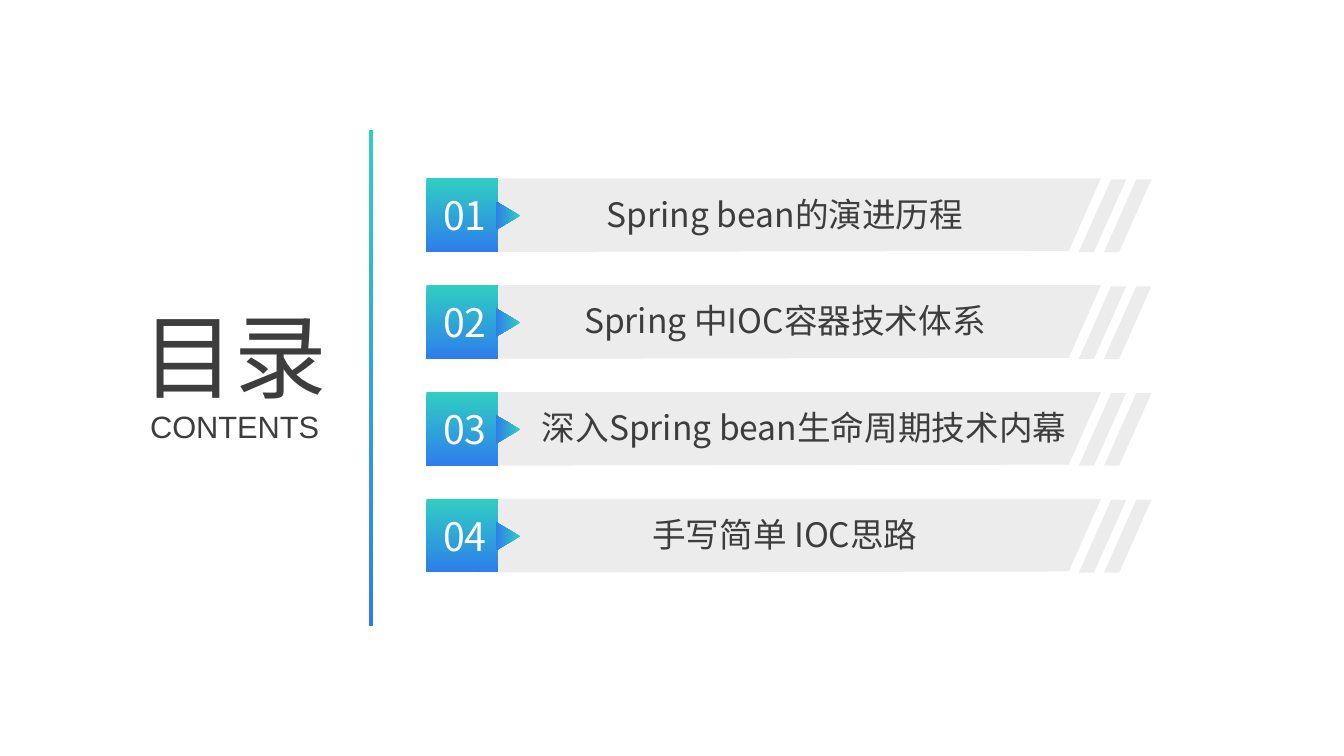
from dataclasses import dataclass

from lxml import etree
from pptx import Presentation
from pptx.dml.color import RGBColor
from pptx.enum import shapes, text
from pptx.oxml import ns
from pptx.util import Inches, Pt


@dataclass(frozen=True)
class Theme:
    teal: str = "30CEC2"
    blue: str = "2D7EEC"
    band: str = "ECECEC"
    ink: str = "3D3D3D"
    white: str = "FFFFFF"
    cjk_font: str = "Noto Sans CJK SC"
    latin_font: str = "Arial"
    heading_size: int = 66
    number_size: int = 28
    topic_size: int = 24
    subtitle_size: int = 22


THEME = Theme()
ROW_LEFT, FIRST_ROW_TOP, ROW_PITCH = 4.23, 1.77, 1.06
# Each topic with the distance of its text box from the row's left edge
TOPICS = [
    ("Spring bean的演进历程", 0.69),
    ("Spring 中IOC容器技术体系", 0.69),
    ("深入Spring bean生命周期技术内幕", 0.88),
    ("手写简单 IOC思路", 0.69),
]


def write(holder, words, size, color, font, align, wrap=True):
    frame = holder.text_frame
    frame.word_wrap = wrap
    frame.auto_size = text.MSO_AUTO_SIZE.SHAPE_TO_FIT_TEXT
    frame.vertical_anchor = text.MSO_ANCHOR.TOP
    paragraph = frame.paragraphs[0]
    paragraph.alignment = align
    run = paragraph.add_run()
    run.text = words
    run.font.size = Pt(size)
    run.font.color.rgb = RGBColor.from_string(color)
    run.font.name = font
    east_asian = etree.SubElement(run.font._element, ns.qn("a:ea"))
    east_asian.set("typeface", font)


def add_label(slide, box, *style, **options):
    label = slide.shapes.add_textbox(*map(Inches, box))
    write(label, *style, **options)


def add_gradient(slide, preset, box, rotation=0):
    """Add a preset shape running from teal at its top to blue."""
    block = slide.shapes.add_shape(preset, *map(Inches, box))
    block.rotation = rotation
    block.shadow.inherit = False
    block.line.fill.background()
    block.fill.gradient()
    block.fill.gradient_angle = 270
    for stop, position, color in zip(block.fill.gradient_stops, (0, 1),
                                     (THEME.teal, THEME.blue)):
        stop.position = position
        stop.color.rgb = RGBColor.from_string(color)


def add_band(slide, left, top, points):
    corners = [(Inches(left + x), Inches(top + y)) for x, y in points]
    builder = slide.shapes.build_freeform(*corners[0])
    builder.add_line_segments(corners[1:], close=True)
    band = builder.convert_to_shape()
    band.shadow.inherit = False
    band.line.fill.background()
    band.fill.solid()
    band.fill.fore_color.rgb = RGBColor.from_string(THEME.band)


def add_topic_row(slide, left, top, number, topic, topic_offset):
    add_band(slide, left, top, [(0.5, 0), (6.69, 0), (6.37, 0.72), (0.5, 0.73)])
    add_gradient(slide, shapes.MSO_SHAPE.RECTANGLE, (left, top, 0.71, 0.73))
    add_gradient(slide, shapes.MSO_SHAPE.ISOSCELES_TRIANGLE,
                 (left + 0.67, top + 0.25, 0.28, 0.24), rotation=90)
    for stripe in (6.47, 6.72):
        add_band(slide, left + stripe, top + 0.01,
                 [(0.32, 0), (0.47, 0), (0.15, 0.72), (0, 0.72)])
    center = text.PP_ALIGN.CENTER
    add_label(slide, (left - 0.01, top + 0.08, 0.78, 0.57), f"{number:02}",
              THEME.number_size, THEME.white, THEME.cjk_font, center)
    add_label(slide, (left + topic_offset, top + 0.1, 5.73, 0.91), topic,
              THEME.topic_size, THEME.ink, THEME.cjk_font, center)


def add_heading(slide, left, top):
    title = slide.shapes.title
    title.left, title.top = Inches(left), Inches(top)
    title.width, title.height = Inches(2.2), Inches(1.21)
    write(title, "目录", THEME.heading_size, THEME.ink, THEME.cjk_font,
          text.PP_ALIGN.LEFT)
    add_label(slide, (left + 0.08, top + 1.08, 1.88, 0.47), "CONTENTS",
              THEME.subtitle_size, THEME.ink, THEME.latin_font,
              text.PP_ALIGN.LEFT, wrap=False)


def add_contents_slide(deck):
    slide = deck.slides.add_slide(deck.slide_layouts[5])
    add_heading(slide, 1.31, 2.92)
    add_gradient(slide, shapes.MSO_SHAPE.RECTANGLE, (3.66, 1.29, 0.04, 4.92))
    for index, (topic, offset) in enumerate(TOPICS):
        add_topic_row(slide, ROW_LEFT, FIRST_ROW_TOP + index * ROW_PITCH,
                      index + 1, topic, offset)


def main():
    deck = Presentation()
    deck.slide_width, deck.slide_height = Inches(13.33), Inches(7.5)
    add_contents_slide(deck)
    deck.save("out.pptx")


if __name__ == "__main__":
    main()
